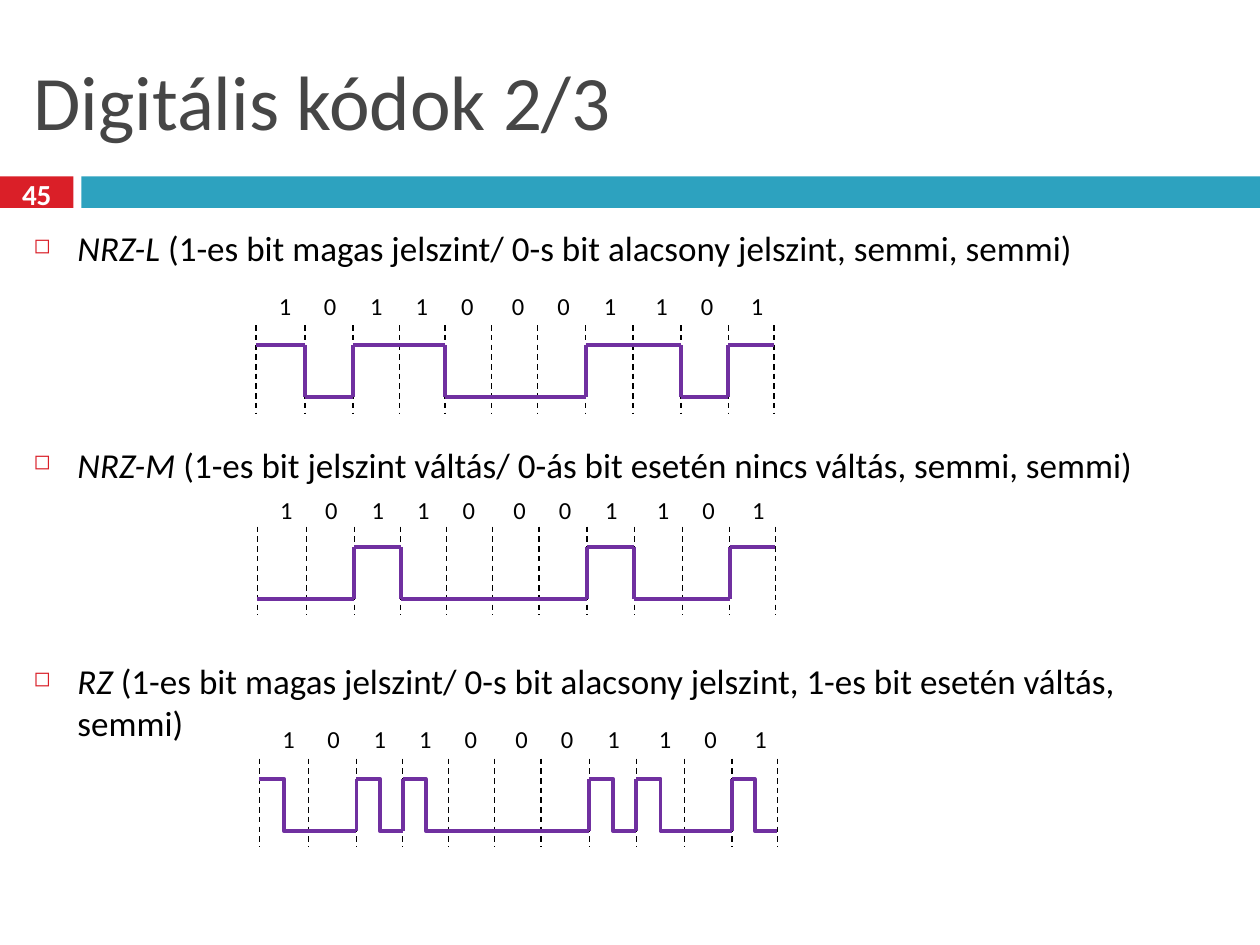
"""Build the slide that compares three digital line codes."""
from lxml.etree import SubElement
from pptx import Presentation
from pptx.dml.color import RGBColor
from pptx.enum.dml import MSO_LINE_DASH_STYLE as Dash
from pptx.enum.shapes import MSO_CONNECTOR as Connector, MSO_SHAPE as Shape
from pptx.enum.text import MSO_ANCHOR as Anchor, PP_ALIGN as Align
from pptx.oxml.ns import qn
from pptx.util import Pt

color = RGBColor.from_string
BLACK, RED, TEAL, PURPLE = "000000", "DA1F28", "2DA2BF", "7030A0"


def add_text(box, paragraphs, hue=BLACK, anchor=Anchor.TOP, **font_format):
    shape = slide.shapes.add_textbox(*map(Pt, box))
    frame = shape.text_frame
    frame.word_wrap = True
    frame.vertical_anchor = anchor
    for index, runs in enumerate(paragraphs):
        paragraph = frame.add_paragraph() if index else frame.paragraphs[0]
        for text, italic in runs:
            run = paragraph.add_run()
            run.text = text
            run.font.color.rgb = color(hue)
            values = {"name": "Calibri", "italic": italic, **font_format}
            for name, value in values.items():
                setattr(run.font, name, value)
    return frame.paragraphs


def add_line(start, end, hue=PURPLE, width=2.25, kind=Connector.STRAIGHT):
    connector = slide.shapes.add_connector(kind, *map(Pt, (*start, *end)))
    connector.line.color.rgb = color(hue)
    connector.line.width = Pt(width)
    SubElement(connector._element.spPr, qn("a:effectLst"))
    return connector


presentation = Presentation()
presentation.slide_width, presentation.slide_height = Pt(720), Pt(540)
slide = presentation.slides.add_slide(presentation.slide_layouts[6])

for left, width, hue in ((0, 42, RED), (46.5, 673.5, TEAL)):
    bar = slide.shapes.add_shape(Shape.RECTANGLE, Pt(left), Pt(100.8), Pt(width), Pt(18))
    bar.shadow.inherit = False
    bar.fill.solid()
    bar.fill.fore_color.rgb = color(hue)
    bar.line.fill.background()

add_text((12, 18, 696, 78), [[("Digitális kódok 2/3", False)]], "464646", Anchor.MIDDLE, size=Pt(44))
number = add_text((0, 98.6, 42, 24), [[("45", False)]], "FFFFFF", Anchor.MIDDLE, size=Pt(16.6), bold=True)
number[0].alignment = Align.CENTER

descriptions = [
    ("NRZ-L", " (1-es bit magas jelszint/ 0-s bit alacsony jelszint, semmi, semmi)"),
    ("NRZ-M", " (1-es bit jelszint váltás/ 0-ás bit esetén nincs váltás, semmi, semmi)"),
    ("RZ", " (1-es bit magas jelszint/ 0-s bit alacsony jelszint, 1-es bit esetén váltás, semmi)"),
]
body = add_text((12.2, 126, 696, 402), [[(name, True), (rule, False)] for name, rule in descriptions], size=Pt(20))
for index, paragraph in enumerate(body):
    paragraph.space_before = Pt(99.6 if index else 0)
    properties = paragraph._p.get_or_add_pPr()
    properties.set("marL", str(Pt(25)))
    properties.set("indent", str(Pt(-25)))
    SubElement(SubElement(properties, qn("a:buClr")), qn("a:srgbClr"), val=RED)
    SubElement(properties, qn("a:buSzPct"), val="60000")
    SubElement(properties, qn("a:buChar"), char="◻")

bits = "10110001101"
edges = [0, 28, 55.5, 82, 108, 134.5, 161, 188.5, 215.5, 243, 270, 296]
tab_stops = [10.3, 36, 62.5, 88.5, 114.5, 143.5, 169.5, 196, 225.5, 251.5, 280]
diagrams = [
    (146.2, 185.8, 162.7, bits, False),
    (147, 301, 279.4, "00100001001", False),
    (148.2, 433.5, 410.4, bits, True),
]
for left, top, label_top, levels, returns_to_zero in diagrams:
    label = add_text((left - 0.7, label_top, 322, 24.5), [[("\t" + "\t".join(bits), False)]], size=Pt(14))
    tab_list = SubElement(label[0]._p.get_or_add_pPr(), qn("a:tabLst"))
    for stop in tab_stops:
        SubElement(tab_list, qn("a:tab"), pos=str(Pt(stop)), algn="ctr")

    for edge in edges:
        divider = add_line((left + edge, top), (left + edge, top + 50.4), BLACK, 0.79)
        divider.line.dash_style = Dash.DASH

    high, low = top + 11.5, top + 41.2
    previous = levels[0]
    for level, start, end in zip(levels, edges, edges[1:]):
        x, next_x = left + start, left + end
        y = high if level == "1" else low
        if level != previous:
            add_line((x, high), (x, low))
        if returns_to_zero and level == "1":
            add_line((x, high), (next_x, low), kind=Connector.ELBOW)
        else:
            add_line((x, y), (next_x, y))
        previous = "0" if returns_to_zero else level

presentation.save("out.pptx")
